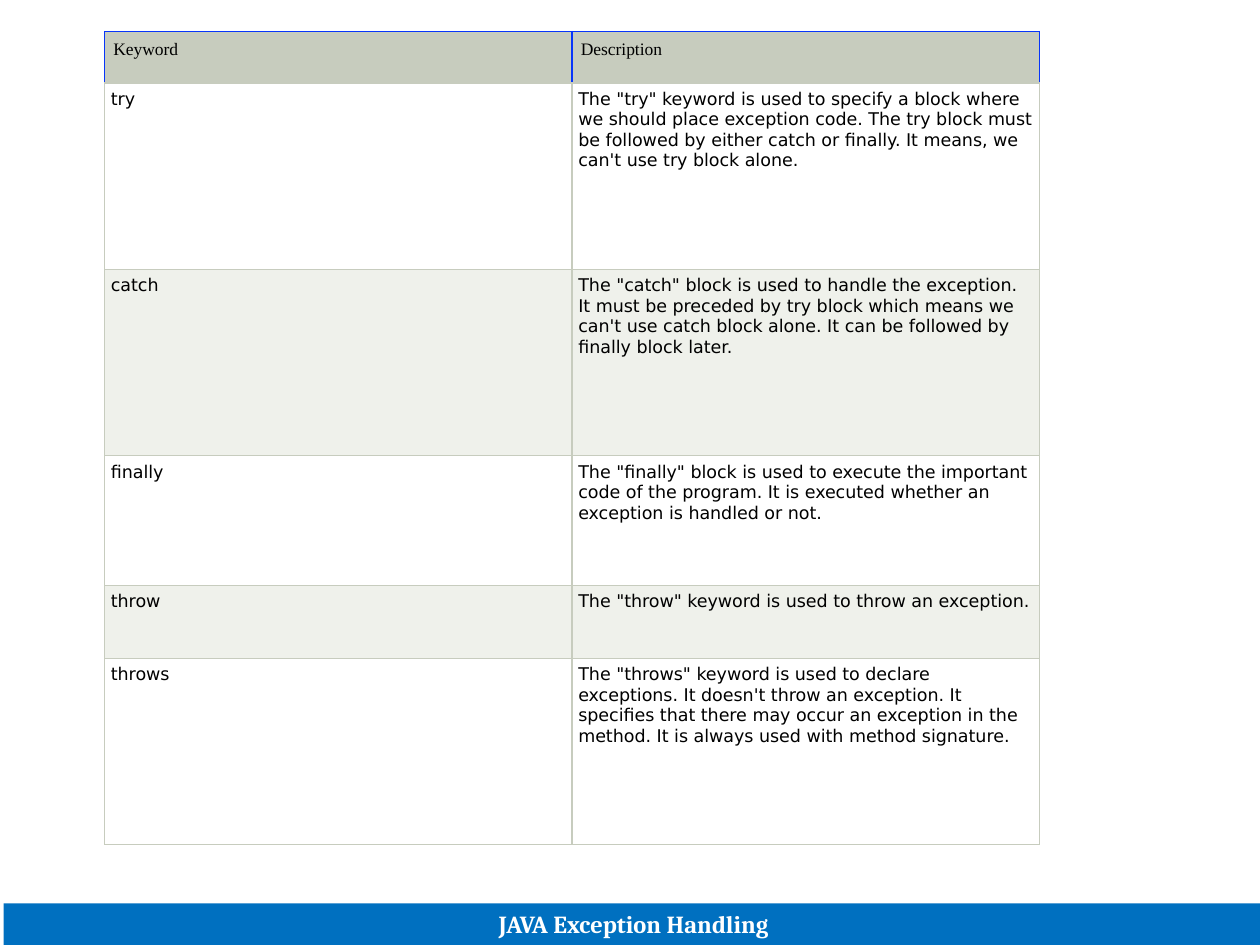
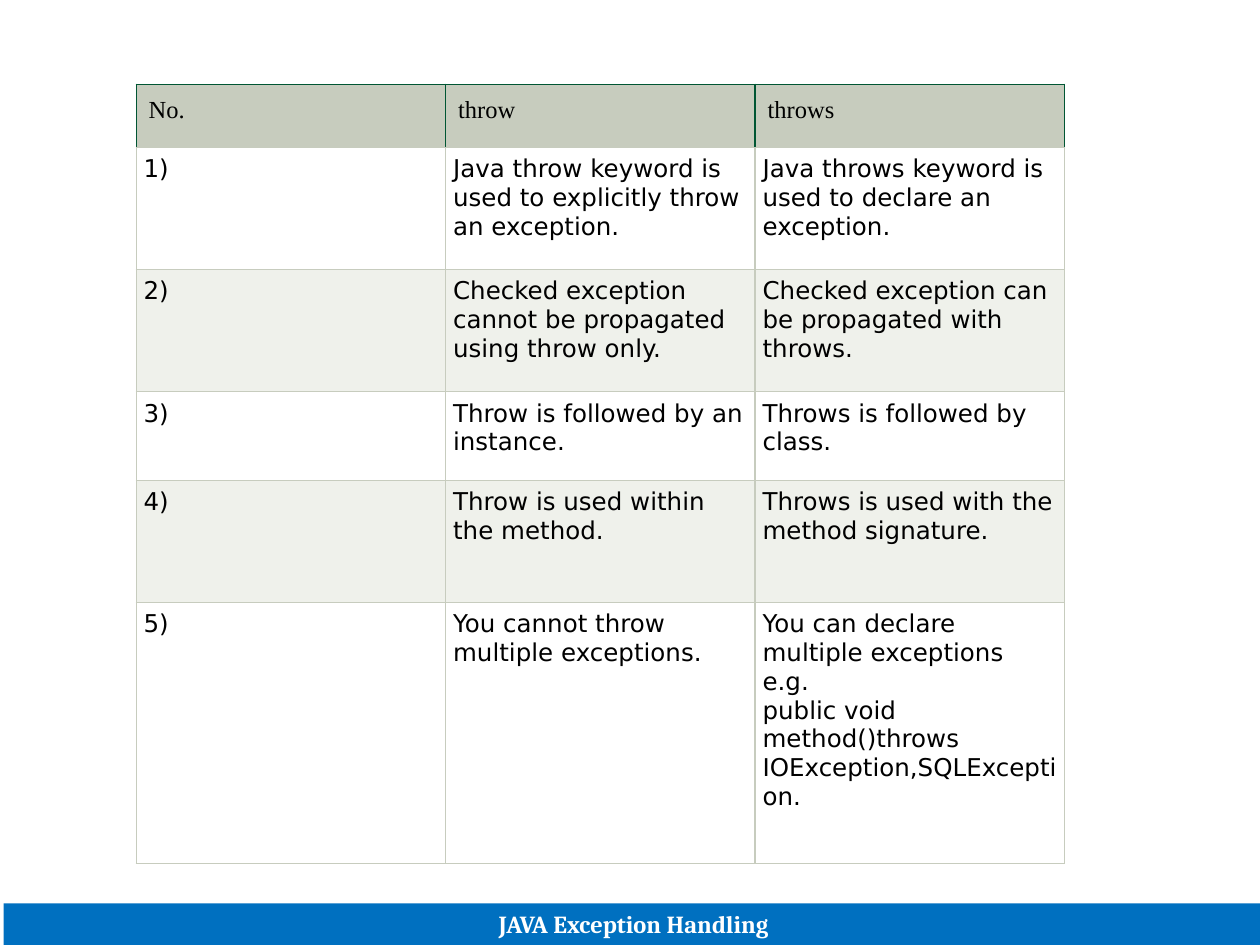
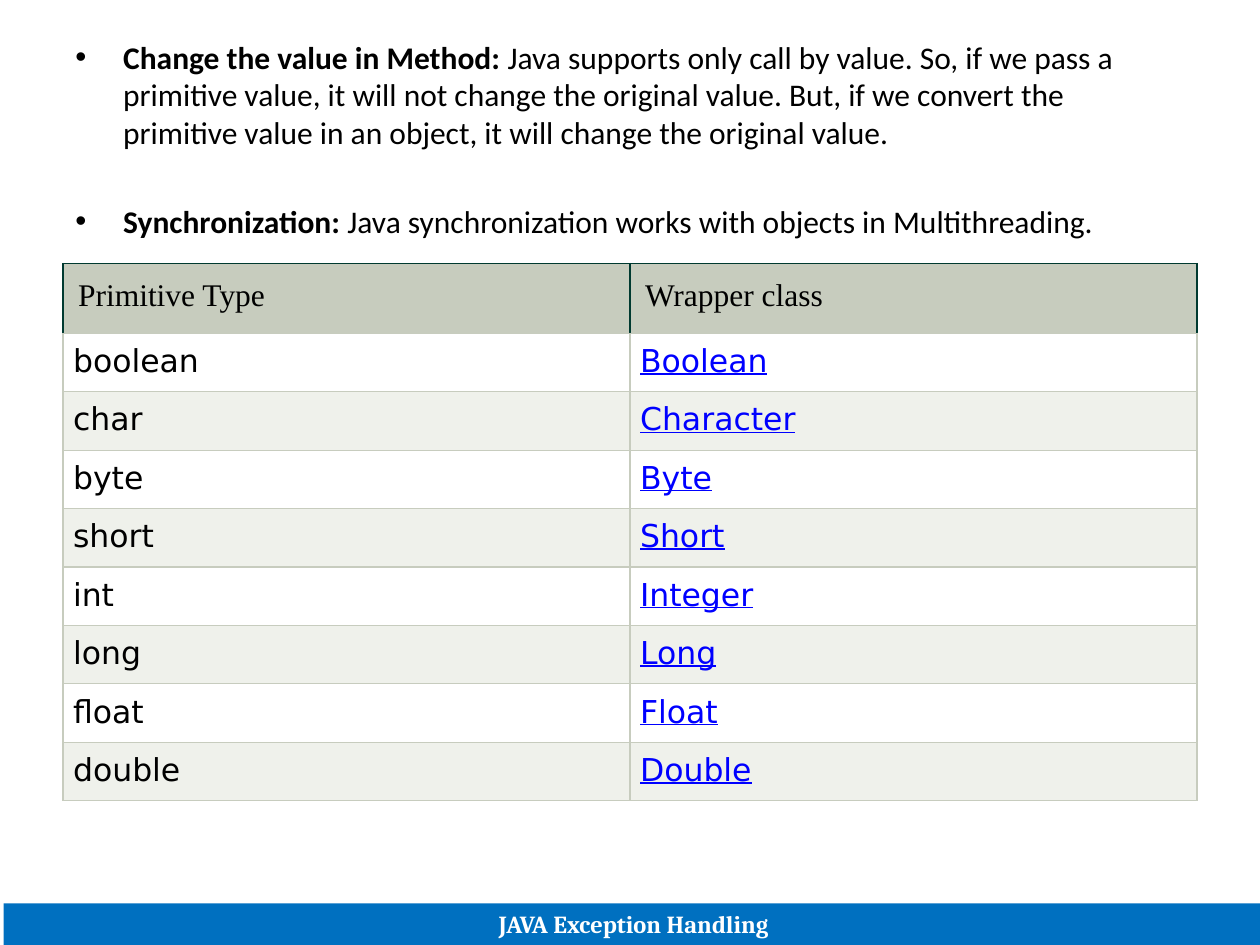
from dataclasses import dataclass

from lxml import etree
from pptx import Presentation
from pptx import util as u
from pptx.dml.color import RGBColor
from pptx.enum import shapes, text
from pptx.oxml.ns import qn


@dataclass(frozen=True)
class Theme:
    ink: str = "000000"
    paper: str = "FFFFFF"
    stripe: str = "EFF1EB"
    header: str = "C7CCBE"
    band: str = "0070C0"
    link: str = "0000FF"
    head_font: str = "Times New Roman"
    cell_font: str = "DejaVu Sans"
    body_font: str = "Calibri"
    band_font: str = "Cambria"
    band_size: float = 14
    body_size: float = 18
    rule: float = 0.75


@dataclass(frozen=True)
class GridStyle:
    """Type size in points, cell margins in inches, colour of the header's outline."""
    size: float
    head_pad: float
    cell_pad: float
    outline: str


THEME = Theme()
SLIDE_W, SLIDE_H = u.Inches(10), u.Inches(7.5)

# Boxes are left, top, width, height in percent of the slide.
BAND_BOX = (0.3, 95.6, 100, 4.4)
KEYWORDS_BOX = (8.3, 3.33, 74.2, 86.1)
COMPARISON_BOX = (10.8, 8.9, 73.7, 82.5)
BENEFITS_BOX = (5, 3.33, 90, 24)
WRAPPERS_BOX = (5, 27.87, 90, 56.9)

KEYWORDS = [
    ("Keyword", "Description"),
    ("try", 'The "try" keyword is used to specify a block where we should place exception code. '
            "The try block must be followed by either catch or finally. It means, we can't use "
            "try block alone."),
    ("catch", 'The "catch" block is used to handle the exception. It must be preceded by try '
              "block which means we can't use catch block alone. It can be followed by finally "
              "block later."),
    ("finally", 'The "finally" block is used to execute the important code of the program. It is '
                "executed whether an exception is handled or not."),
    ("throw", 'The "throw" keyword is used to throw an exception.'),
    ("throws", 'The "throws" keyword is used to declare exceptions. It doesn\'t throw an '
               "exception. It specifies that there may occur an exception in the method. It is "
               "always used with method signature."),
]
COMPARISON = [
    ("No.", "throw", "throws"),
    ("1)", "Java throw keyword is used to explicitly throw an exception.",
     "Java throws keyword is used to declare an exception."),
    ("2)", "Checked exception cannot be propagated using throw only.",
     "Checked exception can be propagated with throws."),
    ("3)", "Throw is followed by an instance.", "Throws is followed by class."),
    ("4)", "Throw is used within the method.", "Throws is used with the method signature."),
    ("5)", "You cannot throw multiple exceptions.",
     "You can declare multiple exceptions e.g.\n"
     "public void method()throws IOException,SQLException."),
]
BENEFITS = [
    ("Change the value in Method:",
     " Java supports only call by value. So, if we pass a primitive value, it will not change "
     "the original value. But, if we convert the primitive value in an object, it will change "
     "the original value."),
    ("Synchronization:", " Java synchronization works with objects in Multithreading."),
]
WRAPPERS = [
    ("Primitive Type", "Wrapper class"),
    ("boolean", "Boolean"), ("char", "Character"), ("byte", "Byte"), ("short", "Short"),
    ("int", "Integer"), ("long", "Long"), ("float", "Float"), ("double", "Double"),
]


def rgb(value):
    return RGBColor.from_string(value)


def place(box):
    """Turn a box in percent of the slide into lengths."""
    return [int(share * side / 100) for share, side in zip(box, (SLIDE_W, SLIDE_H) * 2)]


def write(paragraph, words, *, font, size, color=THEME.ink, bold=False, underline=False,
          align=text.PP_ALIGN.LEFT):
    """Add words to a paragraph; a newline becomes a line break."""
    paragraph.alignment = align
    for number, line in enumerate(words.split("\n")):
        if number:
            paragraph.add_line_break()
        run = paragraph.add_run()
        run.text = line
        run.font.name, run.font.size = font, u.Pt(size)
        run.font.bold, run.font.underline = bold, underline
        run.font.color.rgb = rgb(color)


def style_cell(cell, fill, pad, edges):
    """Edges are the colours of the left, right, top and bottom borders."""
    cell.margin_left = cell.margin_right = cell.margin_top = cell.margin_bottom = u.Inches(pad)
    properties = cell._tc.get_or_add_tcPr()
    for side, color in zip("LRTB", edges):
        line = etree.SubElement(properties, qn(f"a:ln{side}"), w=str(u.Pt(THEME.rule)))
        solid = etree.SubElement(line, qn("a:solidFill"))
        etree.SubElement(solid, qn("a:srgbClr"), val=color)
    cell.fill.solid()
    cell.fill.fore_color.rgb = rgb(fill)


def add_grid(slide, box, records, weights, style, link_column=None):
    """Striped table with equal columns and rows that share the height by weight."""
    left, top, width, height = place(box)
    table = slide.shapes.add_table(len(records), len(records[0]), left, top, width, height).table
    table.first_row = table.horz_banding = False
    for column in table.columns:
        column.width = width // len(records[0])
    for row, weight in zip(table.rows, weights):
        row.height = int(height * weight / sum(weights))
    for r, record in enumerate(records):
        for c, words in enumerate(record):
            cell = table.cell(r, c)
            paragraph = cell.text_frame.paragraphs[0]
            if r == 0:
                style_cell(cell, THEME.header, style.head_pad,
                           [style.outline] * 3 + [THEME.header])
                write(paragraph, words, font=THEME.head_font, size=style.size)
            else:
                style_cell(cell, THEME.paper if r % 2 else THEME.stripe, style.cell_pad,
                           [THEME.header] * 4)
                linked = c == link_column
                write(paragraph, words, font=THEME.cell_font, size=style.size,
                      color=THEME.link if linked else THEME.ink, underline=linked)


def add_bullets(slide, box, items, indent=0.38, gap=29):
    frame = slide.shapes.add_textbox(*place(box)).text_frame
    frame.word_wrap = True
    for number, (lead, rest) in enumerate(items):
        paragraph = frame.add_paragraph() if number else frame.paragraphs[0]
        paragraph.space_before = u.Pt(gap if number else 0)
        for words, bold in ((lead, True), (rest, False)):
            write(paragraph, words, font=THEME.body_font, size=THEME.body_size, bold=bold)
        properties = paragraph._p.get_or_add_pPr()
        properties.set("marL", str(u.Inches(indent)))
        properties.set("indent", str(-u.Inches(indent)))
        etree.SubElement(properties, qn("a:buFont"), typeface="Arial")
        etree.SubElement(properties, qn("a:buChar"), char="•")


def add_band(slide):
    band = slide.shapes.add_shape(shapes.MSO_SHAPE.RECTANGLE, *place(BAND_BOX))
    band.shadow.inherit = False
    band.fill.solid()
    band.fill.fore_color.rgb = rgb(THEME.band)
    band.line.fill.background()
    band.text_frame.vertical_anchor = text.MSO_ANCHOR.MIDDLE
    write(band.text_frame.paragraphs[0], "JAVA Exception Handling", font=THEME.band_font,
          size=THEME.band_size, color=THEME.paper, bold=True, align=text.PP_ALIGN.CENTER)


def keywords_slide(slide):
    add_grid(slide, KEYWORDS_BOX, KEYWORDS, [0.41, 1.48, 1.48, 1.03, 0.58, 1.48],
             GridStyle(10, 0.07, 0.05, "0835F9"))


def comparison_slide(slide):
    add_grid(slide, COMPARISON_BOX, COMPARISON, [0.5, 0.97, 0.97, 0.7, 0.97, 2.07],
             GridStyle(14, 0.1, 0.06, "005633"))


def wrappers_slide(slide):
    add_bullets(slide, BENEFITS_BOX, BENEFITS)
    add_grid(slide, WRAPPERS_BOX, WRAPPERS, [0.55] + [0.46] * (len(WRAPPERS) - 1),
             GridStyle(18, 0.12, 0.08, "003A30"), link_column=1)


def main():
    deck = Presentation()
    deck.slide_width, deck.slide_height = SLIDE_W, SLIDE_H
    for fill_slide in (keywords_slide, comparison_slide, wrappers_slide):
        slide = deck.slides.add_slide(deck.slide_layouts[6])
        fill_slide(slide)
        add_band(slide)
    deck.save("out.pptx")


if __name__ == "__main__":
    main()
